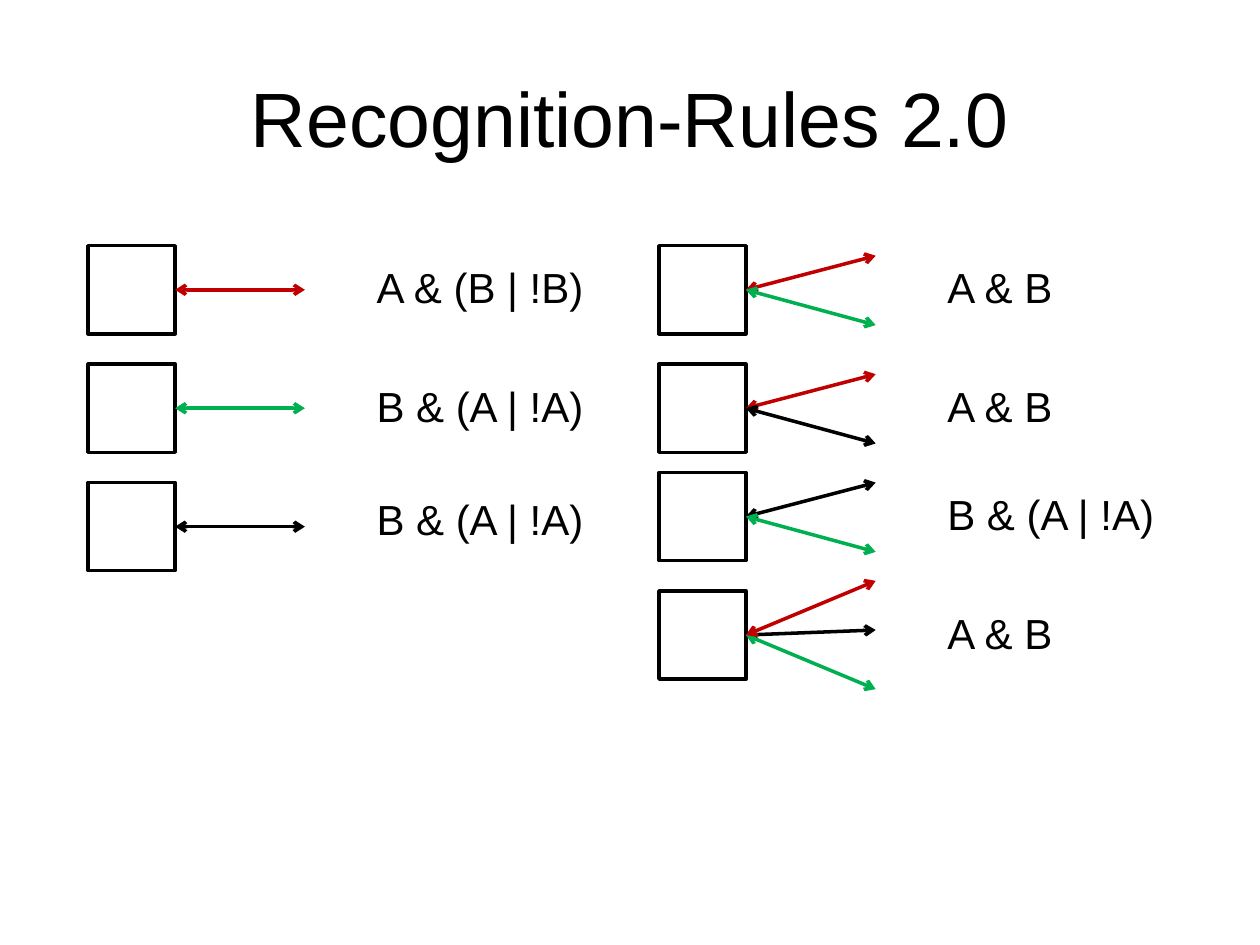
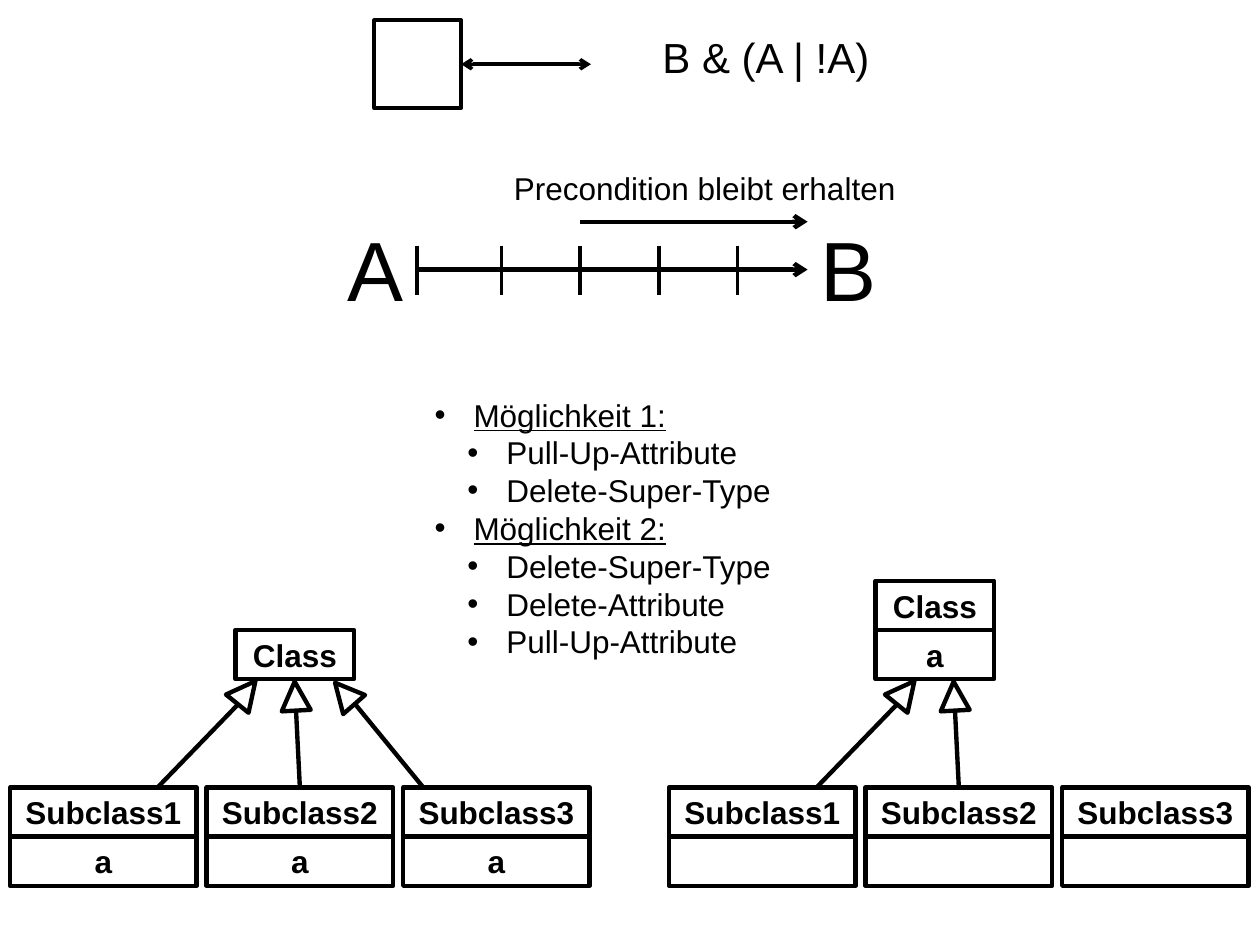
from typing import NamedTuple

from lxml.etree import SubElement
from pptx import Presentation
from pptx.dml.color import RGBColor
from pptx.enum.shapes import MSO_CONNECTOR, MSO_SHAPE
from pptx.enum.text import MSO_ANCHOR, MSO_AUTO_SIZE, PP_ALIGN
from pptx.oxml.ns import qn
from pptx.util import Inches, Pt

BLACK = RGBColor(0x00, 0x00, 0x00)
WHITE = RGBColor(0xFF, 0xFF, 0xFF)
RED = RGBColor(0xC0, 0x00, 0x00)
GREEN = RGBColor(0x00, 0xB0, 0x50)
FONT = "Arial"
TITLE_ONLY, BLANK = 5, 6

BOX_WIDTH, BOX_HEIGHT = 0.69, 0.7
ARROW_REACH = 1.03
EXPRESSION_OFFSET = 2.19

CELL_HEIGHT = 0.39
CLASS_WIDTH, CLASS_BOTTOM = 0.94, 5.39
SUBCLASS_WIDTH, SUBCLASS_PITCH, SUBCLASS_TOP = 1.48, 1.56, 6.25
TRIANGLE_SIZE = 0.23


class Arrow(NamedTuple):
    color: RGBColor
    rise: float = 0


class Rule(NamedTuple):
    left: float
    top: float
    expression: str
    arrows: list[Arrow]
    expression_drop: float = 0.08


class Inheritance(NamedTuple):
    """Line and triangle head; x values count from the tree's left edge."""
    start_x: float
    end_x: float
    end_y: float
    head_x: float
    head_y: float
    rotation: float


class ClassTree(NamedTuple):
    left: float
    class_left: float
    class_cells: list[str]
    subclass_member: str
    inheritances: list[Inheritance]


LEFT_COLUMN, RIGHT_COLUMN = 0.7, 5.23
UP, DOWN = -0.27, 0.28
RULES = [
    Rule(LEFT_COLUMN, 1.95, "A & (B | !B)", [Arrow(RED)]),
    Rule(LEFT_COLUMN, 2.89, "B & (A | !A)", [Arrow(GREEN)]),
    Rule(LEFT_COLUMN, 3.83, "B & (A | !A)", [Arrow(BLACK)], 0.04),
    Rule(RIGHT_COLUMN, 1.95, "A & B", [Arrow(RED, UP), Arrow(GREEN, DOWN)]),
    Rule(RIGHT_COLUMN, 2.89, "A & B", [Arrow(RED, UP), Arrow(BLACK, DOWN)]),
    Rule(RIGHT_COLUMN, 3.75, "B & (A | !A)", [Arrow(BLACK, UP), Arrow(GREEN, DOWN)]),
    Rule(RIGHT_COLUMN, 4.69, "A & B",
         [Arrow(BLACK, -0.04), Arrow(GREEN, 0.43), Arrow(RED, -0.43)]),
]
EXAMPLE_RULE = Rule(2.97, 0.16, "B & (A | !A)", [Arrow(BLACK)], 0.04)

INHERITANCES = [
    Inheritance(1.17, 1.81, 5.59, 1.76, 5.38, 38.9),
    Inheritance(2.3, 2.27, 5.65, 2.15, 5.41, 356.9),
    Inheritance(3.28, 2.74, 5.59, 2.54, 5.39, 318.9),
]
TREES = [
    ClassTree(0.08, 1.87, ["Class"], "a", INHERITANCES),
    ClassTree(5.31, 6.95, ["Class", "a"], "", INHERITANCES[:2]),
]
OPTIONS = {
    "Möglichkeit 1:": ["Pull-Up-Attribute", "Delete-Super-Type"],
    "Möglichkeit 2:": ["Delete-Super-Type", "Delete-Attribute", "Pull-Up-Attribute"],
}


def format_runs(paragraph, size: float, bold: bool = False, underline: bool = False) -> None:
    for run in paragraph.runs:
        run.font.name = FONT
        run.font.size = Pt(size)
        run.font.bold = bold
        run.font.underline = underline
        run.font.color.rgb = BLACK


def add_label(slide, left: float, top: float, width: float, height: float,
              text: str, size: float) -> None:
    label = slide.shapes.add_textbox(Inches(left), Inches(top), Inches(width), Inches(height))
    frame = label.text_frame
    frame.word_wrap = False
    frame.auto_size = MSO_AUTO_SIZE.SHAPE_TO_FIT_TEXT
    frame.text = text
    format_runs(frame.paragraphs[0], size)


def add_outline(slide, preset: MSO_SHAPE, left: float, top: float, width: float,
                height: float, line_width: float):
    """Add an unfilled black-edged shape."""
    shape = slide.shapes.add_shape(
        preset, Inches(left), Inches(top), Inches(width), Inches(height))
    shape.shadow.inherit = False
    shape.fill.background()
    shape.line.color.rgb = BLACK
    shape.line.width = Pt(line_width)
    return shape


def add_line(slide, start: tuple[float, float], end: tuple[float, float], width: float,
             color: RGBColor = BLACK, arrow_ends: tuple[str, ...] = ()) -> None:
    """Draw a line; arrow_ends may hold headEnd (start) and tailEnd (end)."""
    connector = slide.shapes.add_connector(
        MSO_CONNECTOR.STRAIGHT, *(Inches(value) for value in (*start, *end)))
    connector.line.color.rgb = color
    connector.line.width = Pt(width)
    properties = connector._element.spPr
    for arrow_end in arrow_ends:
        SubElement(properties.find(qn("a:ln")), qn(f"a:{arrow_end}"), type="arrow")
    SubElement(properties, qn("a:effectLst"))


def add_rule(slide, rule: Rule) -> None:
    add_outline(slide, MSO_SHAPE.RECTANGLE, rule.left, rule.top, BOX_WIDTH, BOX_HEIGHT, 2)
    start_x, start_y = rule.left + BOX_WIDTH, rule.top + BOX_HEIGHT / 2
    for arrow in rule.arrows:
        add_line(slide, (start_x, start_y), (start_x + ARROW_REACH, start_y + arrow.rise),
                 2, arrow.color, ("headEnd", "tailEnd"))
    width = 1.04 if rule.expression == "A & B" else 1.86
    add_label(slide, rule.left + EXPRESSION_OFFSET, rule.top + rule.expression_drop,
              width, 0.5, rule.expression, 24)


def add_class(slide, left: float, top: float, width: float, cells: list[str]) -> None:
    for row, text in enumerate(cells):
        cell = add_outline(slide, MSO_SHAPE.RECTANGLE, left, top + row * CELL_HEIGHT,
                           width, CELL_HEIGHT, 2.5)
        cell.fill.solid()
        cell.fill.fore_color.rgb = WHITE
        if text:
            frame = cell.text_frame
            frame.text = text
            frame.vertical_anchor = MSO_ANCHOR.MIDDLE
            frame.paragraphs[0].alignment = PP_ALIGN.CENTER
            format_runs(frame.paragraphs[0], 18, bold=True)


def add_tree(slide, tree: ClassTree) -> None:
    class_top = CLASS_BOTTOM - CELL_HEIGHT * len(tree.class_cells)
    add_class(slide, tree.class_left, class_top, CLASS_WIDTH, tree.class_cells)
    for index in range(3):
        add_class(slide, tree.left + index * SUBCLASS_PITCH, SUBCLASS_TOP, SUBCLASS_WIDTH,
                  [f"Subclass{index + 1}", tree.subclass_member])
    for link in tree.inheritances:
        add_line(slide, (tree.left + link.start_x, SUBCLASS_TOP),
                 (tree.left + link.end_x, link.end_y), 2.5)
        head = add_outline(slide, MSO_SHAPE.ISOSCELES_TRIANGLE, tree.left + link.head_x,
                           link.head_y, TRIANGLE_SIZE, TRIANGLE_SIZE, 2.5)
        head.rotation = link.rotation


def add_timeline(slide) -> None:
    start, end, axis = 3.31, 6.41, 2.14
    add_label(slide, 2.66, 1.68, 0.65, 0.91, "A", 48)
    add_label(slide, end, 1.68, 0.65, 0.91, "B", 48)
    add_line(slide, (start, axis), (end, axis), 2.5, arrow_ends=("tailEnd",))
    ticks = [start] + [3.98 + 0.625 * step for step in range(4)]
    for tick in ticks:
        add_line(slide, (tick, 1.95), (tick, 2.34), 2)
    add_line(slide, (ticks[2], 1.76), (end, 1.76), 2.5, arrow_ends=("tailEnd",))
    add_label(slide, 3.98, 1.29, 3.26, 0.4, "Precondition bleibt erhalten", 18)


def add_options(slide) -> None:
    box = slide.shapes.add_textbox(Inches(3.35), Inches(3.09), Inches(2.98), Inches(2.22))
    frame = box.text_frame
    frame.word_wrap = True
    entries = [(text, level) for heading, steps in OPTIONS.items()
               for text, level in [(heading, 0), *((step, 1) for step in steps)]]
    for index, (text, level) in enumerate(entries):
        paragraph = frame.add_paragraph() if index else frame.paragraphs[0]
        paragraph.text = text
        paragraph.level = level
        paragraph.line_spacing = Pt(21.6)
        format_runs(paragraph, 18, underline=level == 0)
        properties = paragraph._p.get_or_add_pPr()
        properties.set("marL", str(Inches(0.31 + 0.26 * level)))
        properties.set("indent", str(-Inches(0.31)))
        SubElement(properties, qn("a:buFont"), typeface=FONT)
        SubElement(properties, qn("a:buChar"), char="•")


def build_rules_slide(presentation) -> None:
    slide = presentation.slides.add_slide(presentation.slide_layouts[TITLE_ONLY])
    title = slide.shapes.title
    title.left, title.top = Inches(0.5), Inches(0.3)
    title.width, title.height = Inches(9), Inches(1.25)
    title.text_frame.text = "Recognition-Rules 2.0"
    title.text_frame.vertical_anchor = MSO_ANCHOR.MIDDLE
    title.text_frame.paragraphs[0].alignment = PP_ALIGN.CENTER
    format_runs(title.text_frame.paragraphs[0], 44)
    for rule in RULES:
        add_rule(slide, rule)


def build_example_slide(presentation) -> None:
    slide = presentation.slides.add_slide(presentation.slide_layouts[BLANK])
    add_rule(slide, EXAMPLE_RULE)
    add_timeline(slide)
    for tree in TREES:
        add_tree(slide, tree)
    add_options(slide)


def main() -> None:
    presentation = Presentation()
    presentation.slide_width, presentation.slide_height = Inches(10), Inches(7.5)
    build_rules_slide(presentation)
    build_example_slide(presentation)
    presentation.save("out.pptx")


if __name__ == "__main__":
    main()
